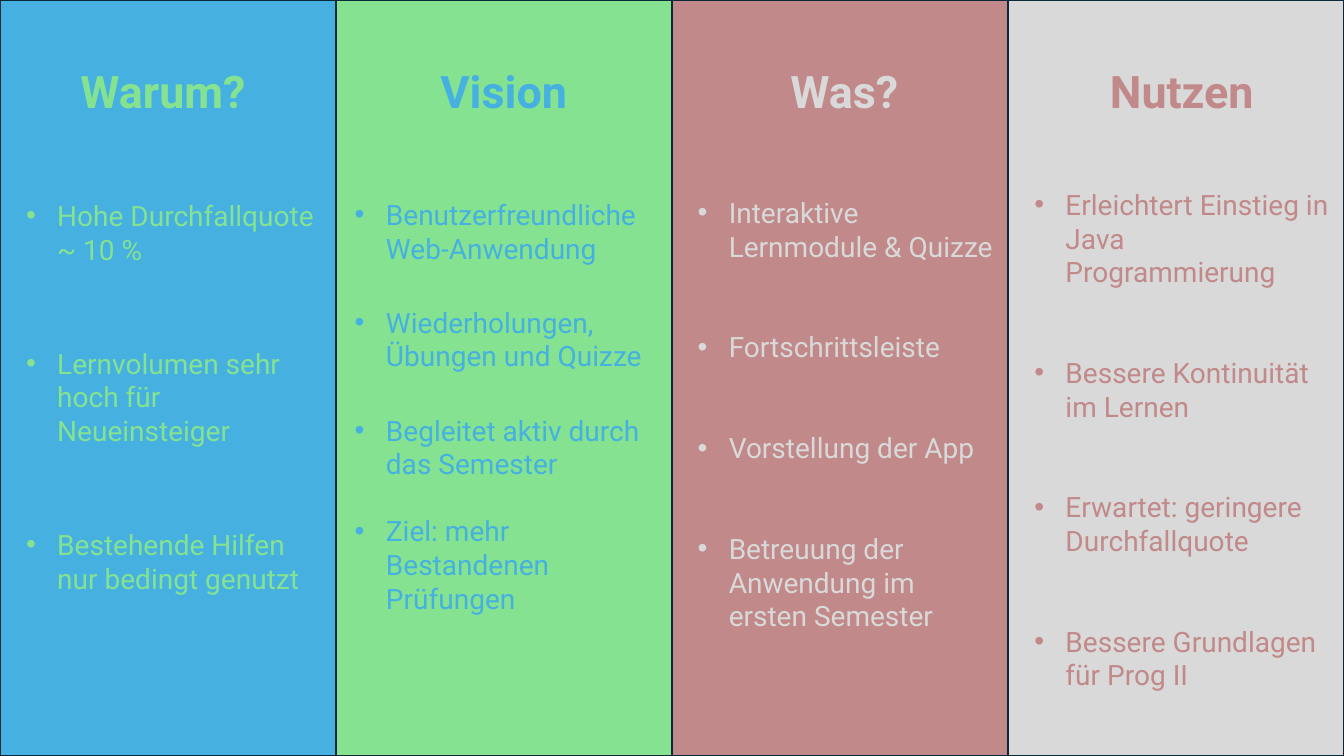
from pptx import Presentation
from pptx.dml.color import RGBColor
from pptx.enum.shapes import MSO_SHAPE as Shape
from pptx.util import Inches, Pt
from lxml.etree import SubElement
from pptx.oxml.ns import qn

BLUE, GREEN, ROSE, GREY, EDGE = "46B1E1", "84E291", "C18989", "D9D9D9", "092A39"

# heading, heading left, fill, text colour, list left, top, height, gaps in points, items
COLUMNS = [
    ("Warum?", 0.7, BLUE, GREEN, 0.16, 1.92, 4.08, [0, 57.5, 57.5], [
        "Hohe Durchfallquote ~ 10 %",
        "Lernvolumen sehr hoch für Neueinsteiger",
        "Bestehende Hilfen nur bedingt genutzt"]),
    ("Vision", 4.27, GREEN, BLUE, 3.42, 1.91, 4.28, [0, 29, 29, 24], [
        "Benutzerfreundliche Web-Anwendung",
        "Wiederholungen, Übungen und Quizze",
        "Begleitet aktiv durch das Semester",
        "Ziel: mehr Bestandenen Prüfungen"]),
    ("Was?", 7.74, ROSE, GREY, 6.82, 1.89, 4.48, [0, 48, 48, 48], [
        "Interaktive Lernmodule & Quizze",
        "Fortschrittsleiste",
        "Vorstellung der App",
        "Betreuung der Anwendung im ersten Semester"]),
    ("Nutzen", 10.91, GREY, ROSE, 10.16, 1.81, 4.82, [0, 48, 48, 48], [
        "Erleichtert Einstieg in Java Programmierung",
        "Bessere Kontinuität im Lernen",
        "Erwartet: geringere Durchfallquote",
        "Bessere Grundlagen für Prog II"]),
]


def rgb(code):
    return RGBColor.from_string(code)


def add_text(left, top, width, height, lines, size, color, bold=False):
    """Add a wrapped text box and return its paragraphs."""
    box = slide.shapes.add_textbox(Inches(left), Inches(top), Inches(width), Inches(height))
    frame = box.text_frame
    frame.word_wrap = True
    frame.text = "\n".join(lines)
    for para in frame.paragraphs:
        font = para.font
        font.name, font.size, font.bold = "Roboto", Pt(size), bold
        font.color.rgb = rgb(color)
    return frame.paragraphs


prs = Presentation()
prs.slide_width, prs.slide_height = Inches(13.33), Inches(7.5)
slide = prs.slides.add_slide(prs.slide_layouts[6])
width = prs.slide_width / 4

for i, (head, head_left, fill, color, left, top, height, gaps, items) in enumerate(COLUMNS):
    panel = slide.shapes.add_shape(Shape.RECTANGLE, round(i * width), 0, round(width), prs.slide_height)
    panel.shadow.inherit = False
    panel.fill.solid()
    panel.fill.fore_color.rgb = rgb(fill)
    panel.line.color.rgb = rgb(EDGE)
    panel.line.width = Pt(1.5)

    add_text(head_left, 0.58, 2.26, 0.64, [head], 32, color, bold=True)
    for para, gap in zip(add_text(left, top, 3.17, height, items, 20, color), gaps):
        para.space_before = Pt(gap)
        props = para._p.get_or_add_pPr()
        props.set("marL", str(Inches(0.31)))
        props.set("indent", str(-Inches(0.31)))
        bullet_font = SubElement(props, qn("a:buFont"), typeface="Arial")
        bullet = SubElement(props, qn("a:buChar"), char="•")
        # The schema wants bullets ahead of the default run properties
        props.find(qn("a:defRPr")).addprevious(bullet_font)
        bullet_font.addnext(bullet)

prs.save("out.pptx")
